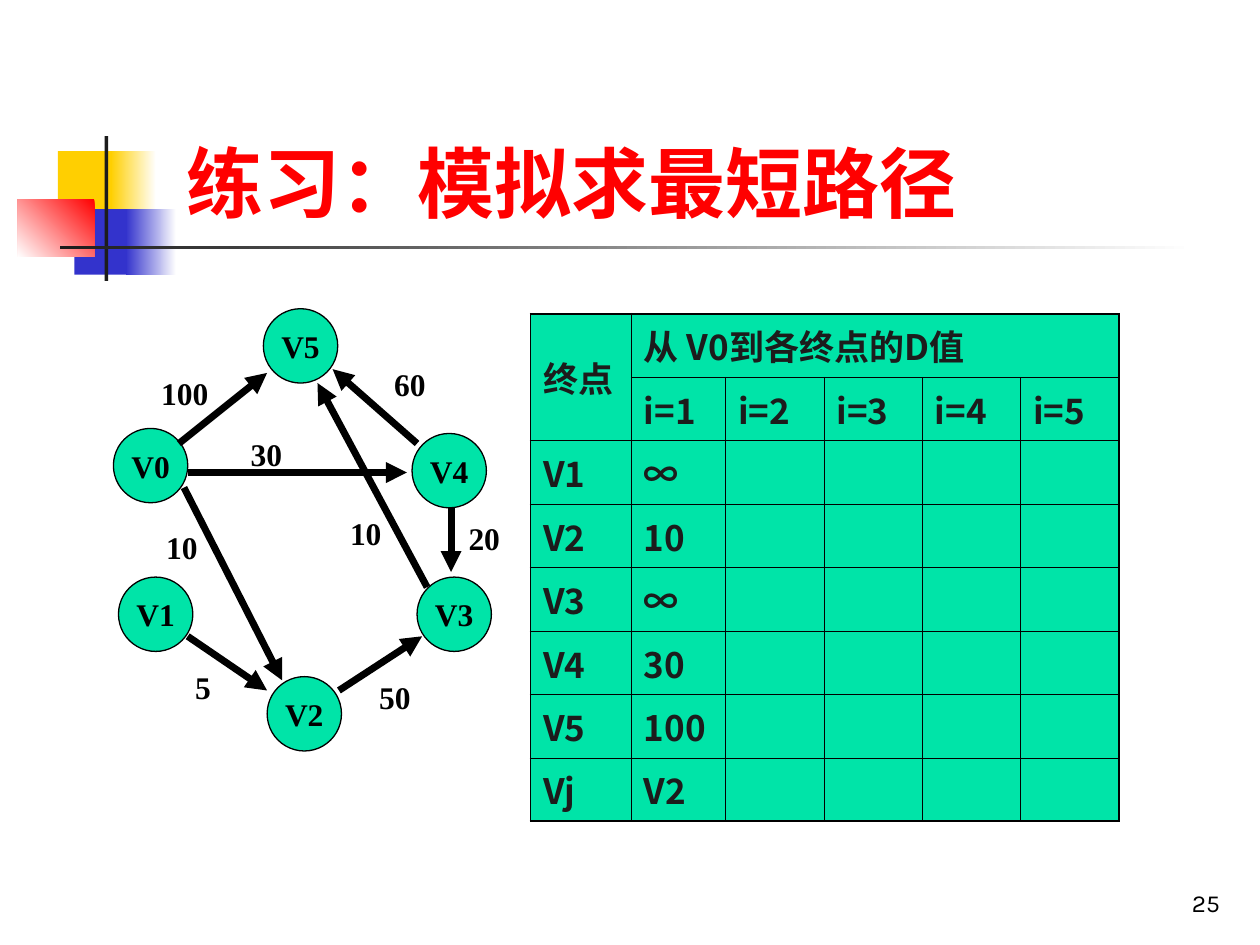
"""Build a shortest-path exercise slide with a weighted graph and a table to fill in."""
from typing import NamedTuple

from lxml import etree
from pptx import Presentation
from pptx import util as u
from pptx.dml.color import RGBColor
from pptx.enum import shapes as shp
from pptx.enum import text as txt
from pptx.oxml import ns

BLACK = RGBColor(0x00, 0x00, 0x00)
BLUE = RGBColor(0x33, 0x33, 0xCC)
CHARCOAL = RGBColor(0x1C, 0x1C, 0x1C)
GREEN = RGBColor(0x00, 0xE4, 0xA8)
RED = RGBColor(0xFF, 0x00, 0x00)
WHITE = RGBColor(0xFF, 0xFF, 0xFF)
YELLOW = RGBColor(0xFF, 0xCF, 0x01)

BODY_FONT = "Karla"
GRAPH_FONT = "Times New Roman"
TABLE_FONT = "Noto Sans CJK SC"
NODE_SIZE = 0.59
ROW_HEIGHT = 0.44
THIN, THICK = 0.45, 1.08


class Block(NamedTuple):
    left: float
    top: float
    width: float
    height: float
    start: RGBColor
    end: RGBColor | None = None
    angle: int = 180


class Node(NamedTuple):
    name: str
    left: float
    top: float


class Edge(NamedTuple):
    start: tuple[float, float]
    end: tuple[float, float]


class Weight(NamedTuple):
    value: str
    left: float
    top: float
    width: float = 0.71


DECORATION = [
    Block(0.46, 1.2, 0.48, 0.52, YELLOW),
    Block(0.88, 1.2, 0.36, 0.52, WHITE, YELLOW),
    Block(0.59, 1.66, 0.46, 0.52, BLUE),
    Block(1, 1.66, 0.4, 0.52, WHITE, BLUE),
    Block(0.14, 1.58, 0.61, 0.46, RED, WHITE, 225),
    Block(0.83, 1.08, 0.03, 1.15, CHARCOAL),
    Block(0.48, 1.95, 9, 0.03, WHITE, CHARCOAL),
]
NODES = [
    Node("V0", 0.9, 3.4), Node("V1", 0.94, 4.58), Node("V2", 2.12, 5.37),
    Node("V3", 3.31, 4.58), Node("V4", 3.27, 3.44), Node("V5", 2.09, 2.45),
]
EDGES = [
    Edge((1.42, 3.52), (2.12, 2.96)), Edge((3.31, 3.52), (2.64, 2.93)),
    Edge((1.49, 3.75), (3.23, 3.75)), Edge((1.49, 5.05), (2.12, 5.48)),
    Edge((1.46, 3.87), (2.24, 5.4)), Edge((2.69, 5.48), (3.35, 5.05)),
    Edge((3.58, 4.03), (3.58, 4.54)), Edge((3.39, 4.66), (2.52, 3.04)),
]
WEIGHTS = [
    Weight("100", 1.18, 2.92), Weight("10", 2.68, 4.03, 0.63),
    Weight("30", 1.89, 3.4), Weight("10", 1.22, 4.14, 0.55),
    Weight("5", 1.45, 5.25, 0.51), Weight("50", 2.91, 5.33),
    Weight("20", 3.62, 4.07), Weight("60", 3.03, 2.85),
]
COLUMN_WIDTHS = [0.8, 0.75, 0.78, 0.78, 0.78, 0.78]
DISTANCES = [
    ["终点", "从 V0到各终点的D值"],
    [""] + [f"i={step}" for step in range(1, 6)],
    ["V1", "∞"], ["V2", "10"], ["V3", "∞"],
    ["V4", "30"], ["V5", "100"], ["Vj", "V2"],
]


def write(frame, content: str, size: float, font: str, color: RGBColor,
          bold: bool = True, align=txt.PP_ALIGN.LEFT, before: float = 0) -> None:
    """Fill a text frame with one formatted paragraph."""
    frame.text = content
    paragraph = frame.paragraphs[0]
    paragraph.alignment = align
    paragraph.space_before = u.Pt(before)
    paragraph.font.size, paragraph.font.name = u.Pt(size), font
    paragraph.font.bold, paragraph.font.color.rgb = bold, color
    for run in paragraph.runs:
        east_asian = etree.SubElement(run.font._element, ns.qn("a:ea"))
        east_asian.set("typeface", TABLE_FONT)


def draw_block(shapes, block: Block) -> None:
    """Draw a borderless solid or gradient rectangle."""
    bar = shapes.add_shape(shp.MSO_SHAPE.RECTANGLE, *map(u.Inches, block[:4]))
    bar.shadow.inherit = False
    bar.line.fill.background()
    if block.end is None:
        bar.fill.solid()
        bar.fill.fore_color.rgb = block.start
        return
    bar.fill.gradient()
    bar.fill.gradient_angle = block.angle
    for stop, color, position in zip(bar.fill.gradient_stops, (block.start, block.end), (0, 1)):
        stop.color.rgb = color
        stop.position = position


def draw_node(shapes, node: Node) -> None:
    """Draw a named vertex."""
    circle = shapes.add_shape(shp.MSO_SHAPE.OVAL, u.Inches(node.left), u.Inches(node.top),
                              u.Inches(NODE_SIZE), u.Inches(NODE_SIZE))
    circle.shadow.inherit = False
    circle.fill.solid()
    circle.fill.fore_color.rgb = GREEN
    circle.line.color.rgb, circle.line.width = BLACK, u.Pt(0.75)
    circle.text_frame.word_wrap = False
    circle.text_frame.vertical_anchor = txt.MSO_ANCHOR.MIDDLE
    write(circle.text_frame, node.name, 18, GRAPH_FONT, BLACK, align=txt.PP_ALIGN.CENTER)


def draw_edge(shapes, edge: Edge) -> None:
    """Draw a directed edge."""
    arrow = shapes.add_connector(shp.MSO_CONNECTOR.STRAIGHT,
                                 *map(u.Inches, edge.start + edge.end))
    arrow.line.color.rgb, arrow.line.width = BLACK, u.Pt(4)
    etree.SubElement(arrow.line._get_or_add_ln(), ns.qn("a:tailEnd")).set("type", "triangle")
    etree.SubElement(arrow._element.spPr, ns.qn("a:effectLst"))


def draw_weight(shapes, weight: Weight) -> None:
    """Label an edge with its weight."""
    label = shapes.add_textbox(*map(u.Inches, (weight.left, weight.top, weight.width, 0.4)))
    label.text_frame.word_wrap = True
    label.text_frame.auto_size = txt.MSO_AUTO_SIZE.SHAPE_TO_FIT_TEXT
    write(label.text_frame, weight.value, 18, GRAPH_FONT, BLACK, before=11.2)


def set_border(cell, side: str, width: float) -> None:
    """Give one side of a cell a black line."""
    line = etree.SubElement(cell._tc.get_or_add_tcPr(), ns.qn(f"a:ln{side}"), w=str(u.Pt(width)))
    fill = etree.SubElement(line, ns.qn("a:solidFill"))
    etree.SubElement(fill, ns.qn("a:srgbClr"), val=str(BLACK))


def draw_distances(shapes) -> None:
    """Draw the table of distances from V0."""
    rows, columns = len(DISTANCES), len(COLUMN_WIDTHS)
    table = shapes.add_table(rows, columns, u.Inches(4.21), u.Inches(2.49),
                             u.Inches(sum(COLUMN_WIDTHS)), u.Inches(rows * ROW_HEIGHT)).table
    table.first_row = table.horz_banding = False
    for column, width in zip(table.columns, COLUMN_WIDTHS):
        column.width = u.Inches(width)
    table.cell(0, 0).merge(table.cell(1, 0))
    table.cell(0, 1).merge(table.cell(0, columns - 1))
    for r, values in enumerate(DISTANCES):
        table.rows[r].height = u.Inches(ROW_HEIGHT)
        for c in range(columns):
            cell = table.cell(r, c)
            if cell.is_spanned:
                continue
            last_column = c + cell.span_width == columns if cell.is_merge_origin else c == columns - 1
            outer = {"L": c == 0, "R": last_column, "T": r == 0, "B": r == rows - 1}
            for side, is_outer in outer.items():
                set_border(cell, side, THICK if is_outer else THIN)
            cell.fill.solid()
            cell.fill.fore_color.rgb = GREEN
            cell.vertical_anchor = txt.MSO_ANCHOR.MIDDLE
            if c < len(values):
                write(cell.text_frame, values[c], 20, TABLE_FONT, CHARCOAL, before=5)


def main() -> None:
    """Assemble and save the slide."""
    deck = Presentation()
    deck.slide_width, deck.slide_height = u.Inches(10), u.Inches(7.5)
    slide = deck.slides.add_slide(deck.slide_layouts[5])
    for block in DECORATION:
        draw_block(slide.shapes, block)
    title = slide.shapes.title
    title.left, title.top, title.width, title.height = map(u.Inches, (1.38, 0.99, 6.89, 0.9))
    title.text_frame.auto_size = txt.MSO_AUTO_SIZE.NONE
    title.text_frame.vertical_anchor = txt.MSO_ANCHOR.MIDDLE
    write(title.text_frame, "练习：模拟求最短路径", 44, BODY_FONT, RED)
    draw_distances(slide.shapes)
    graph = slide.shapes.add_group_shape().shapes
    for draw, parts in ((draw_node, NODES), (draw_edge, EDGES), (draw_weight, WEIGHTS)):
        for part in parts:
            draw(graph, part)
    page_number = slide.shapes.add_textbox(*map(u.Inches, (7.7, 6.83, 2.08, 0.5))).text_frame
    page_number.word_wrap = True
    page_number.vertical_anchor = txt.MSO_ANCHOR.BOTTOM
    write(page_number, "25", 14, BODY_FONT, BLACK, bold=False, align=txt.PP_ALIGN.RIGHT)
    deck.save("out.pptx")


if __name__ == "__main__":
    main()
